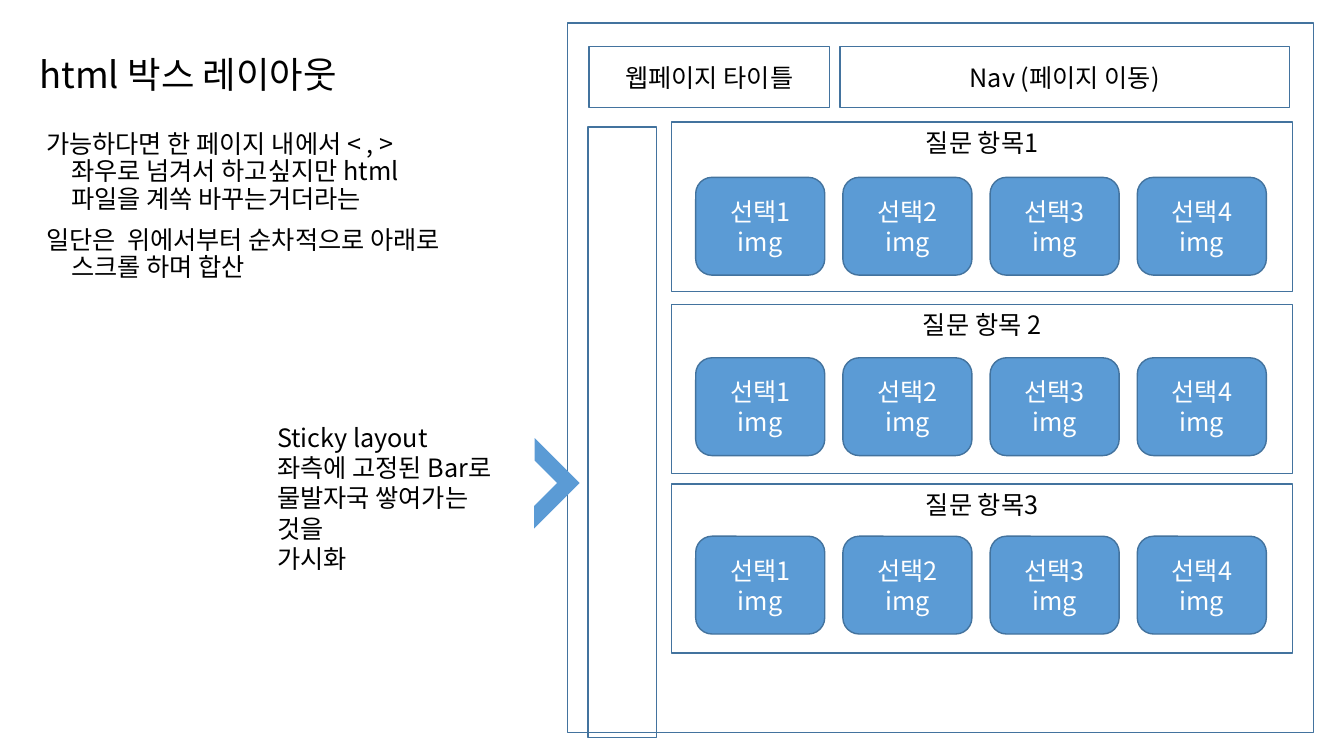
"""Build the slide that sketches the box layout of an html page."""
from pptx import Presentation
from pptx.dml.color import RGBColor
from pptx.enum.shapes import MSO_SHAPE
from pptx.enum.text import MSO_ANCHOR, MSO_AUTO_SIZE, PP_ALIGN
from pptx.oxml.ns import qn
from pptx.util import Inches, Pt

BLACK = RGBColor(0x00, 0x00, 0x00)
WHITE = RGBColor(0xFF, 0xFF, 0xFF)
BLUE = RGBColor(0x5B, 0x9B, 0xD5)
OUTLINE = RGBColor(0x43, 0x73, 0x9E)

CENTER = {"alignment": PP_ALIGN.CENTER}
LEFT = {"alignment": PP_ALIGN.LEFT}
TIGHT = {"alignment": PP_ALIGN.LEFT, "line_spacing": 0.9}
BODY = {**TIGHT, "space_before": Pt(10)}


class Sketch:
    """Hold the style and the current slide."""

    font = "Noto Sans CJK KR"
    line_width = Pt(1)

    def __init__(self, s):
        self.s = s

    def fill_text(self, tf, lines, formats, color=BLACK, size=18, anchor=MSO_ANCHOR.TOP, hanging=0):
        frame = {"word_wrap": True, "auto_size": MSO_AUTO_SIZE.NONE, "vertical_anchor": anchor}
        for name, value in frame.items():
            setattr(tf, name, value)
        for i, line in enumerate(lines):
            p = tf.paragraphs[0] if i == 0 else tf.add_paragraph()
            for name, value in formats.items():
                setattr(p, name, value)
            if hanging:
                pPr = p._p.get_or_add_pPr()
                pPr.set("marL", str(Inches(hanging)))
                pPr.set("indent", str(-Inches(hanging)))
            r = p.add_run()
            r.text = line
            for name, value in {"name": self.font, "size": Pt(size)}.items():
                setattr(r.font, name, value)
            r.font.color.rgb = color
            rPr = r._r.get_or_add_rPr()
            ea = rPr.makeelement(qn("a:ea"), {"typeface": self.font})
            rPr.find(qn("a:latin")).addnext(ea)

    def title(self, box, text):
        sp = self.s.shapes.title
        for name, value in zip(("left", "top", "width", "height"), box):
            setattr(sp, name, Inches(value))
        self.fill_text(sp.text_frame, [text], TIGHT, size=26, anchor=MSO_ANCHOR.MIDDLE)

    def text(self, box, lines, formats, hanging=0):
        sp = self.s.shapes.add_textbox(*map(Inches, box))
        self.fill_text(sp.text_frame, lines, formats, hanging=hanging)

    def shape(self, kind, box, fill=None, line=OUTLINE):
        sp = self.s.shapes.add_shape(kind, *map(Inches, box))
        sp.shadow.inherit = False
        if fill is None:
            sp.fill.background()
        else:
            sp.fill.solid()
            sp.fill.fore_color.rgb = fill
        if line is None:
            sp.line.fill.background()
        else:
            sp.line.color.rgb = line
            sp.line.width = self.line_width
        return sp

    def frame(self, box, label=None, anchor=MSO_ANCHOR.MIDDLE):
        sp = self.shape(MSO_SHAPE.RECTANGLE, box)
        if label:
            self.fill_text(sp.text_frame, [label], CENTER, anchor=anchor)

    def choice(self, box, number):
        sp = self.shape(MSO_SHAPE.ROUNDED_RECTANGLE, box, BLUE)
        self.fill_text(sp.text_frame, [f"선택{number}", "img"], CENTER, WHITE, anchor=MSO_ANCHOR.MIDDLE)

    def chevron(self, box):
        sp = self.shape(MSO_SHAPE.HALF_FRAME, box, BLUE, None)
        sp.rotation = 135
        for i in range(2):
            sp.adjustments[i] = 0.25


def main():
    prs = Presentation()
    prs.slide_width, prs.slide_height = Inches(13.33), Inches(7.5)
    sketch = Sketch(prs.slides.add_slide(prs.slide_layouts[5]))

    sketch.title((0.21, 0.26, 4.17, 1), " html 박스 레이아웃")
    sketch.text((0.36, 1.26, 4.37, 2.05), [
        "가능하다면 한 페이지 내에서 < , > 좌우로 넘겨서 하고싶지만 html 파일을 계쏙 바꾸는거더라는",
        "일단은  위에서부터 순차적으로 아래로 스크롤 하며 합산",
    ], BODY, hanging=0.25)

    sketch.frame((5.63, 0.23, 7.4, 7.04))
    sketch.frame((5.84, 0.46, 2.39, 0.61), "웹페이지 타이틀")
    sketch.frame((8.33, 0.46, 4.46, 0.61), "Nav (페이지 이동)")
    sketch.frame((5.83, 1.26, 0.68, 6.06))

    questions = [("질문 항목1", 1.21, 1.76), ("질문 항목 2", 3.02, 3.55), ("질문 항목3", 4.8, 5.32)]
    for label, top, choice_top in questions:
        sketch.frame((6.66, top, 6.16, 1.68), label, MSO_ANCHOR.TOP)
        for i in range(4):
            sketch.choice((6.9 + 1.46 * i, choice_top, 1.28, 0.97), i + 1)

    sketch.text((2.65, 4.14, 2.6, 1.31), [
        "Sticky layout", "좌측에 고정된 Bar로", "물발자국 쌓여가는 것을", "가시화",
    ], LEFT)
    sketch.chevron((4.98, 4.48, 0.64, 0.63))
    prs.save("out.pptx")


if __name__ == "__main__":
    main()
